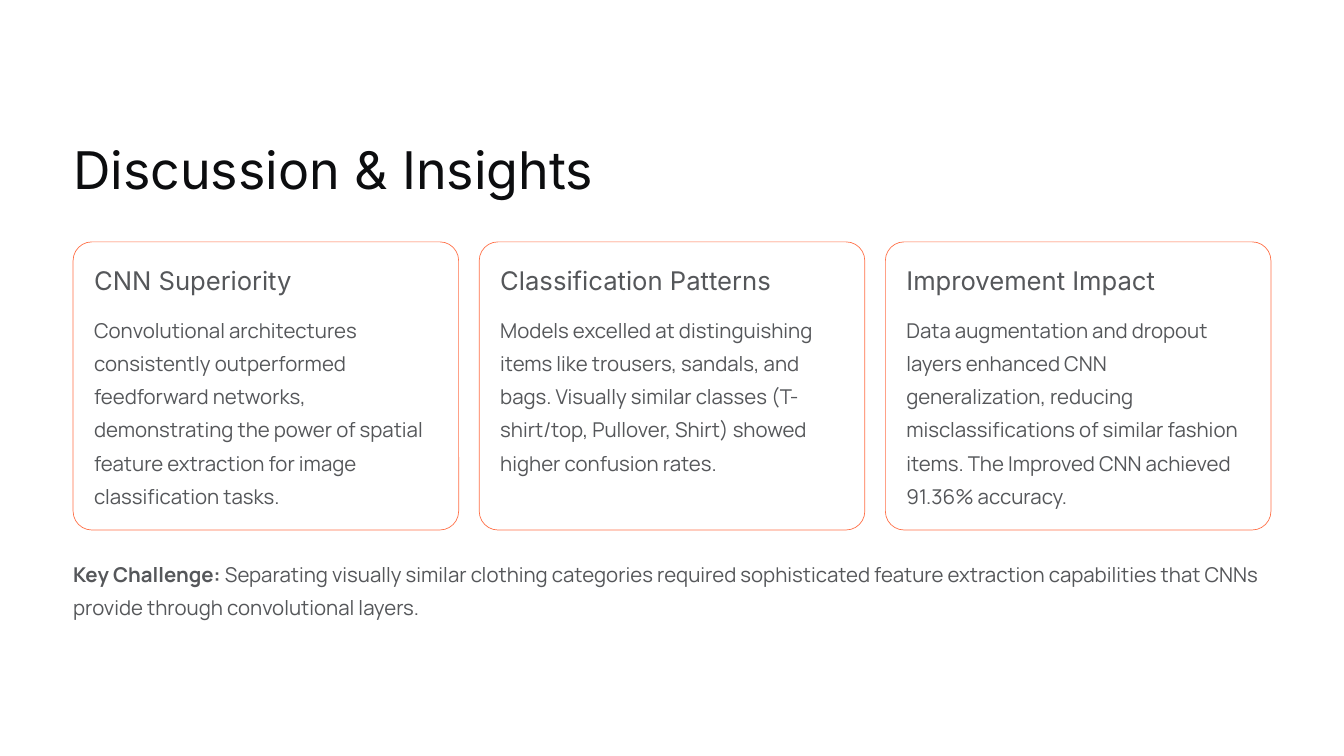
from pptx import Presentation
from pptx.dml.color import RGBColor
from pptx.enum.shapes import MSO_SHAPE
from pptx.util import Inches, Pt

COLORS = {"paper": "FFFFFF", "title": "0C0D0F", "body": "55575A", "accent": "FF7047"}

prs = Presentation()
prs.slide_width, prs.slide_height = Inches(16), Inches(9)
s = prs.slides.add_slide(prs.slide_layouts[6])
s.background.fill.solid()
s.background.fill.fore_color.rgb = RGBColor.from_string(COLORS["paper"])

# Grid: equal margins, three columns
margin = 0.87
content_w = 16 - 2 * margin
gap, pad = 0.245, 0.25
card_top, card_h = 2.88, 3.43
card_w = (content_w - 2 * gap) / 3


def add_text(x, y, w, h, runs, size, spacing, font="Manrope", color="body", wrap=True):
    """Add a one-paragraph text box; runs are (text, bold) pairs."""
    tf = s.shapes.add_textbox(Inches(x), Inches(y), Inches(w), Inches(h)).text_frame
    tf.margin_left = tf.margin_right = tf.margin_top = tf.margin_bottom = 0
    tf.word_wrap = wrap
    p = tf.paragraphs[0]
    p.line_spacing = Pt(spacing)
    for text, bold in runs:
        r = p.add_run()
        r.text = text
        r.font.name, r.font.size, r.font.bold = font, Pt(size), bold
        r.font.color.rgb = RGBColor.from_string(COLORS[color])


# Title
add_text(margin, 1.61, 6.22, 0.78, [("Discussion & Insights", False)],
         44.5, 55.5, "Inter", "title", wrap=False)

# Cards
cards = [
    ("CNN Superiority",
     "Convolutional architectures consistently outperformed feedforward networks, "
     "demonstrating the power of spatial feature extraction for image classification tasks."),
    ("Classification Patterns",
     "Models excelled at distinguishing items like trousers, sandals, and bags. "
     "Visually similar classes (T-shirt/top, Pullover, Shirt) showed higher confusion rates."),
    ("Improvement Impact",
     "Data augmentation and dropout layers enhanced CNN generalization, reducing "
     "misclassifications of similar fashion items. The Improved CNN achieved 91.36% accuracy."),
]
for i, (heading, body) in enumerate(cards):
    x = margin + i * (card_w + gap)
    sp = s.shapes.add_shape(MSO_SHAPE.ROUNDED_RECTANGLE, Inches(x), Inches(card_top),
                            Inches(card_w), Inches(card_h))
    sp.adjustments[0] = 0.065
    sp.shadow.inherit = False
    sp.fill.solid()
    sp.fill.fore_color.rgb = RGBColor.from_string(COLORS["paper"])
    sp.line.color.rgb = RGBColor.from_string(COLORS["accent"])
    sp.line.width = Pt(0.6)
    text_w = card_w - 2 * pad
    add_text(x + pad, card_top + 0.26, text_w, 0.39, [(heading, False)],
             22, 27.5, "Inter", wrap=False)
    add_text(x + pad, card_top + 0.8, text_w, 2.38, [(body, False)], 17.5, 28.5)

# Key challenge
add_text(margin, 6.59, content_w, 0.79, [
    ("Key Challenge:", True),
    (" Separating visually similar clothing categories required sophisticated feature "
     "extraction capabilities that CNNs provide through convolutional layers.", False),
], 17.5, 28.5)

prs.save("out.pptx")
